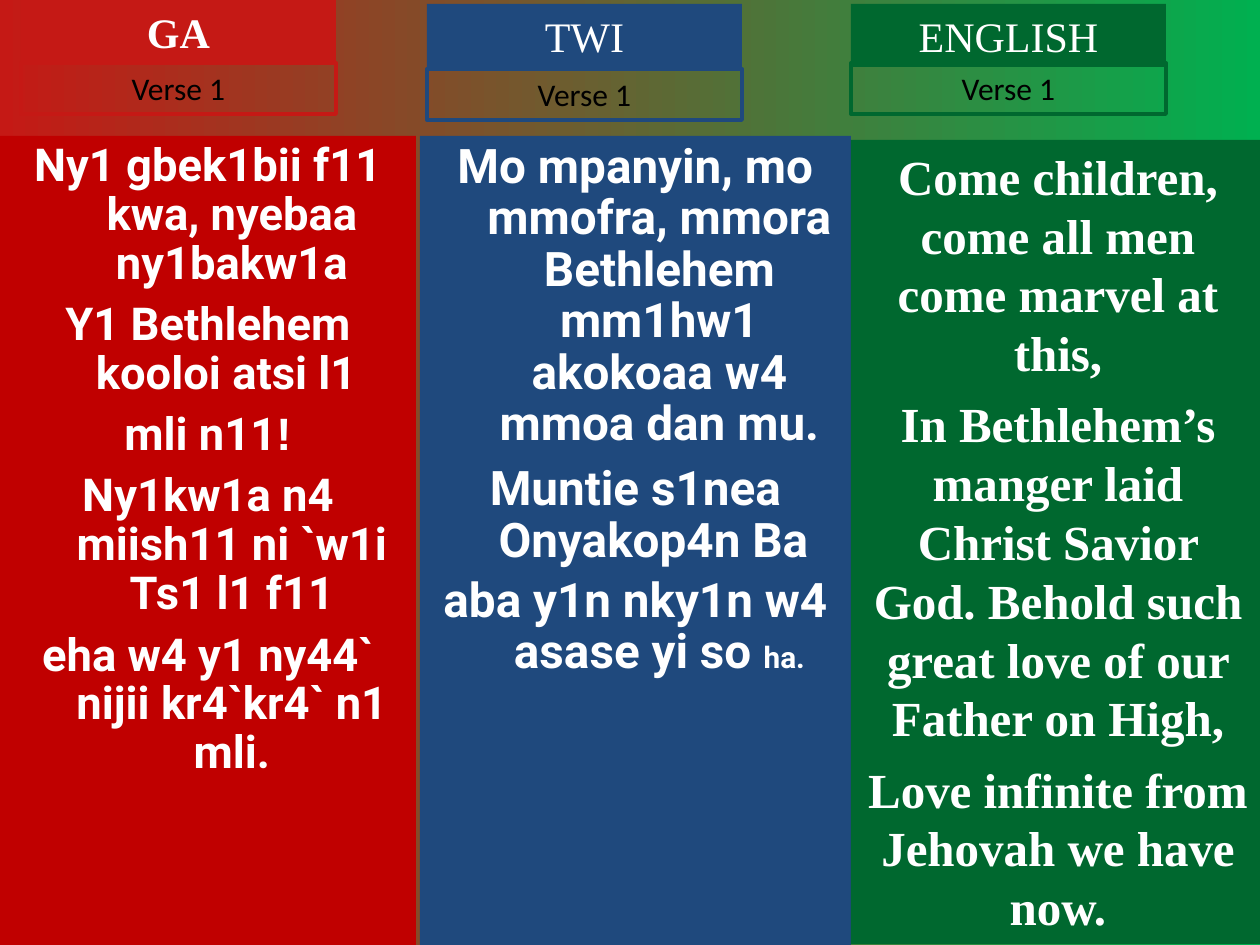
from pptx import Presentation
from pptx.dml.color import RGBColor
from pptx.enum.shapes import MSO_SHAPE
from pptx.enum.text import MSO_ANCHOR, PP_ALIGN
from pptx.util import Emu, Pt

RECTANGLE = MSO_SHAPE.RECTANGLE
TOP = MSO_ANCHOR.TOP
CENTER = PP_ALIGN.CENTER
PX = 914400 // 126
BLANK_LAYOUT = 6
WHITE, BLACK = "FFFFFF", "000000"


def color(value):
    return RGBColor.from_string(value)


def add_box(left, top, width, height, paragraphs, font, size, text_color, bold=False):
    shape = slide.shapes.add_shape(
        RECTANGLE, *(Emu(length * PX) for length in (left, top, width, height)))
    shape.shadow.inherit = False
    shape.fill.background()
    shape.line.fill.background()
    frame = shape.text_frame
    frame.word_wrap = True
    frame.vertical_anchor = TOP
    frame.text = "\n".join(paragraphs)
    for paragraph in frame.paragraphs:
        paragraph.alignment = CENTER
        for run in paragraph.runs:
            run.font.name = font
            run.font.size = Pt(size)
            run.font.bold = bold
            run.font.color.rgb = color(text_color)
    return shape


presentation = Presentation()
presentation.slide_width = Emu(1260 * PX)
presentation.slide_height = Emu(945 * PX)
slide = presentation.slides.add_slide(presentation.slide_layouts[BLANK_LAYOUT])

# Background gradient, red to green
background = slide.background.fill
background.gradient()
background.gradient_angle = 0
for stop, (position, value) in zip(background.gradient_stops, ((0, "C51915"), (1, "00B050"))):
    stop.position = position
    stop.color.rgb = color(value)

# Lyrics panels: left, top, width, height, fill, font, size, hanging, space before, verses
panels = [
    (0, 136, 416, 809, "C00000", "Roboto", 25.9, True, 7, [
        "Ny1 gbek1bii f11 kwa, nyebaa ny1bakw1a",
        "Y1 Bethlehem kooloi atsi l1 ",
        "mli n11!",
        "Ny1kw1a n4 miish11 ni `w1i Ts1 l1 f11",
        "eha w4 y1 ny44` nijii kr4`kr4` n1 mli."]),
    (420, 136, 431, 809, "1F497D", "Roboto", 27.2, True, 8, [
        "Mo mpanyin, mo mmofra, mmora Bethlehem mm1hw1 akokoaa w4 mmoa dan mu.",
        "Muntie s1nea Onyakop4n Ba ",
        "aba y1n nky1n w4 asase yi so "]),
    (851, 140, 414, 804, "00682F", "Times New Roman", 28, False, 7, [
        "Come children, come all men come marvel at this,",
        "In Bethlehem’s manger laid Christ Savior God. "
        "Behold such great love of our Father on High,",
        "Love infinite from Jehovah we have now."]),
]
panel_shapes = []
for left, top, width, height, fill, font, size, hanging, space, verses in panels:
    panel = add_box(left, top, width, height, verses, font, size, WHITE, bold=True)
    panel.fill.solid()
    panel.fill.fore_color.rgb = color(fill)
    for number, paragraph in enumerate(panel.text_frame.paragraphs):
        if number:
            paragraph.space_before = Pt(space)
        if hanging:
            paragraph.line_spacing = 0.9
            properties = paragraph._p.get_or_add_pPr()
            properties.set("marL", str(48 * PX))
            properties.set("indent", str(-48 * PX))
    panel_shapes.append(panel)

# Small closing word and exclamation mark in their own formats
ga_panel, twi_panel, english_panel = panel_shapes
exclamation = ga_panel.text_frame.paragraphs[2]
exclamation.runs[0].text = "mli n11"
closing = twi_panel.text_frame.paragraphs[2]
closing.space_before = Pt(5)
for paragraph, text, font, size in ((exclamation, "!", "Arial", 25.9),
                                    (closing, "ha.", "Roboto", 17)):
    run = paragraph.add_run()
    run.text = text
    run.font.name = font
    run.font.size = Pt(size)
    run.font.bold = True
    run.font.color.rgb = color(WHITE)

# Language headings with a verse label below each
headings = [
    ("GA", 21, 0, 63, "C51915", True),
    ("TWI", 427, 4, 69, "1F497D", False),
    ("ENGLISH", 851, 4, 63, "00682F", False),
]
for language, left, top, label_top, accent, bold in headings:
    heading = add_box(left, top, 315, 63, [language], "Times New Roman", 24, WHITE, bold)
    heading.fill.solid()
    heading.fill.fore_color.rgb = color(accent)
    label = add_box(left, label_top, 315, 51, ["Verse 1"], "Calibri", 18, BLACK)
    label.line.color.rgb = color(accent)
    label.line.width = Pt(2.25)

presentation.save("out.pptx")
